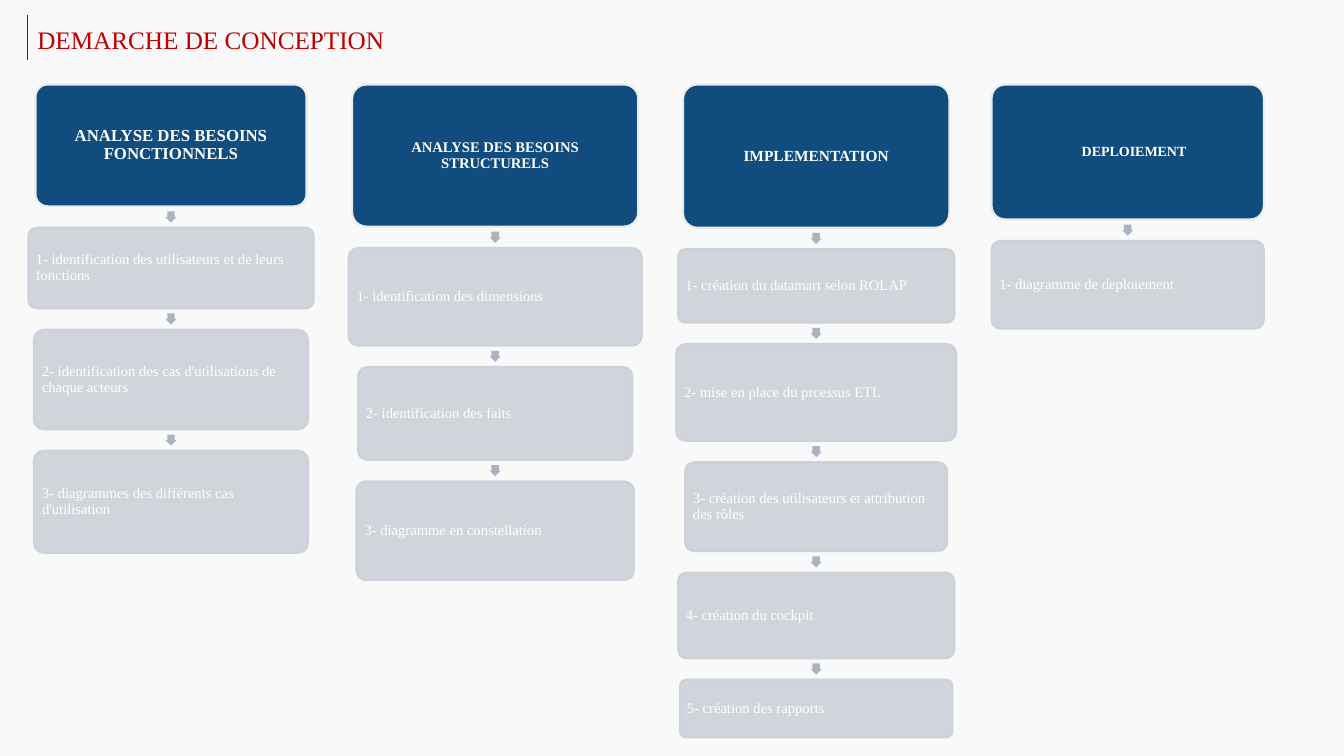
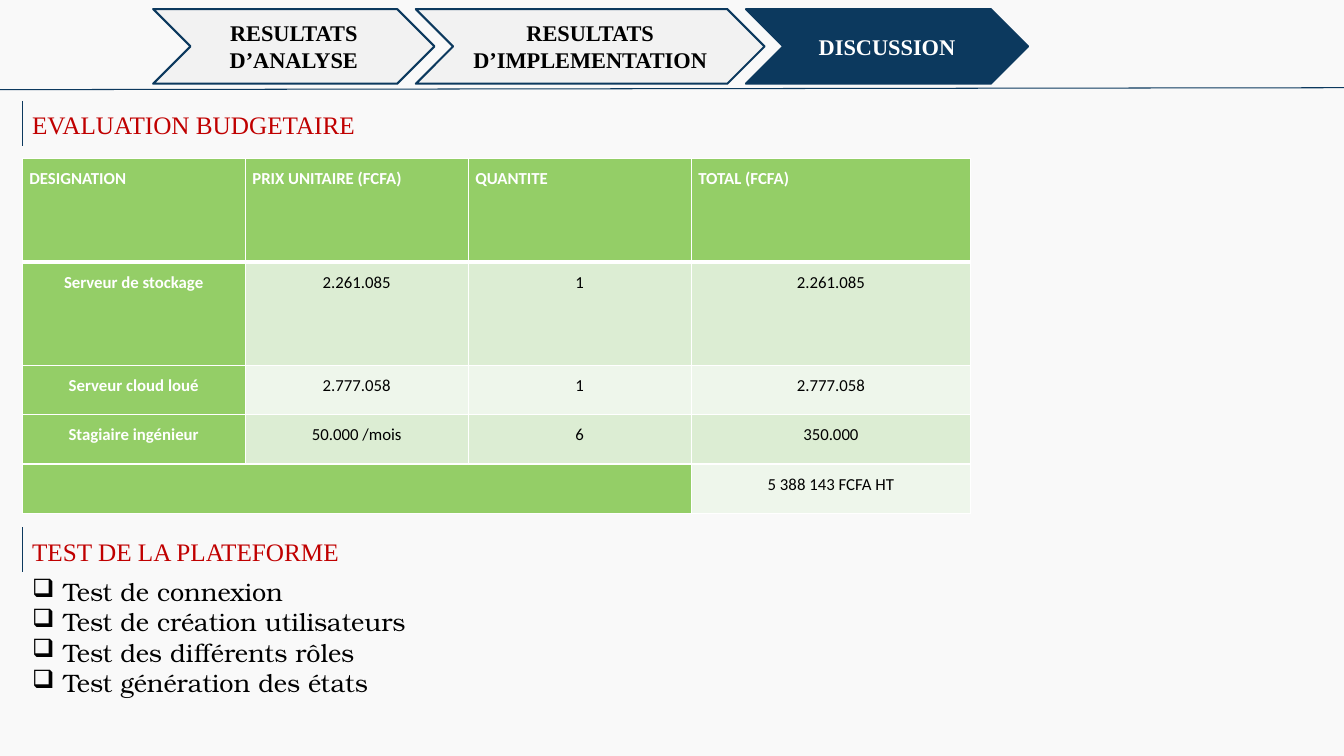
from lxml.etree import SubElement
from pptx import Presentation
from pptx.dml.color import RGBColor
from pptx.enum.shapes import MSO_CONNECTOR as Link, MSO_SHAPE as Kind
from pptx.enum.text import MSO_ANCHOR as Anchor, PP_ALIGN as Align
from pptx.oxml.ns import qn
from pptx.util import Cm, Pt

# Shared look
SERIF, SANS, BOOK = "Times New Roman", "Calibri", "TeX Gyre Bonum"
PAPER, WHITE, BLACK = "F9F9F9", "FFFFFF", "000000"
NAVY, BLUE, RED, PALE = "0C395E", "104C7E", "C00000", "F2F2F2"
STEP, EDGE, ARROW, RIM = "D0D4DB", "CDD1D9", "ABB2C0", "EBEBEB"
GREEN, BANDS = "94CE67", ("DCEDD3", "EEF6EB")
WIDE, HIGH = 33.87, 19.05

# Flow columns: centre, heading (text, size, width, height), steps
TOP, GAP, TIP = 2.13, 0.54, 0.28
FLOWS = [
    (4.31, ("ANALYSE DES BESOINS FONCTIONNELS", 12, 6.83, 3.07), [
        ("1- identification des utilisateurs et de leurs fonctions", 7.19, 2.03),
        ("2- identification des cas d'utilisations de chaque acteurs", 6.91, 2.51),
        ("3- diagrammes des différents cas d'utilisation", 6.91, 2.57)]),
    (12.48, ("ANALYSE DES BESOINS STRUCTURELS", 10.5, 7.21, 3.58), [
        ("1- identification des dimensions", 7.39, 2.46),
        ("2- identification des faits", 6.91, 2.34),
        ("3- diagramme en constellation", 6.99, 2.49)]),
    (20.57, ("IMPLEMENTATION", 11, 6.71, 3.61), [
        ("1- création du datamart selon ROLAP", 6.96, 1.85),
        ("2- mise en place du prcessus ETL", 7.06, 2.44),
        ("3- création des utilisateurs et attribution des rôles", 6.6, 2.24),
        ("4- création du cockpit", 6.96, 2.16),
        ("5- création des rapports", 6.86, 1.45)]),
    (28.42, ("DEPLOIEMENT", 10, 6.86, 3.4), [
        ("1- diagramme de deploiement", 6.86, 2.21)]),
]

# Section tabs: text, width, fill, text colour
TABS = [
    ("RESULTATS D’ANALYSE", 7.09, PALE, BLACK),
    ("RESULTATS D’IMPLEMENTATION", 8.79, PALE, BLACK),
    ("DISCUSSION", 7.11, NAVY, WHITE),
]

COSTS = [
    ("DESIGNATION", "PRIX UNITAIRE (FCFA)", "QUANTITE", "TOTAL (FCFA)"),
    ("Serveur de stockage", "2.261.085", "1", "2.261.085"),
    ("Serveur cloud loué", "2.777.058", "1", "2.777.058"),
    ("Stagiaire ingénieur", "50.000 /mois", "6", "350.000"),
    ("", "", "", "5 388 143 FCFA HT"),
]
COLS = (5.62, 5.62, 5.62, 7.04)
ROWS = (2.61, 2.61, 1.24, 1.24, 1.24)

TESTS = ["Test de connexion", "Test de création utilisateurs",
         "Test des différents rôles", "Test génération des états"]


def rgb(code):
    return RGBColor.from_string(code)


def write(frame, text, font, size, color, bold=False, align=Align.LEFT):
    """Fill a text frame and give all its runs one look."""
    frame.text = text
    for para in frame.paragraphs:
        para.alignment = align
        for run in para.runs:
            run.font.name, run.font.size = font, Pt(size)
            run.font.bold = bold
            run.font.color.rgb = rgb(color)


def inset(obj, side, end):
    obj.margin_left = obj.margin_right = Cm(side)
    obj.margin_top = obj.margin_bottom = Cm(end)


def shape(slide, kind, x, y, w, h, fill, edge=None):
    item = slide.shapes.add_shape(kind, Cm(x), Cm(y), Cm(w), Cm(h))
    item.shadow.inherit = False
    item.fill.solid()
    item.fill.fore_color.rgb = rgb(fill)
    if edge:
        item.line.color.rgb = rgb(edge)
        item.line.width = Pt(1.5)
    else:
        item.line.fill.background()
    item.text_frame.word_wrap = True
    item.text_frame.vertical_anchor = Anchor.MIDDLE
    return item


def rule(slide, x1, y1, x2, y2):
    line = slide.shapes.add_connector(Link.STRAIGHT, Cm(x1), Cm(y1), Cm(x2), Cm(y2))
    line.line.color.rgb = rgb(NAVY)
    line.line.width = Pt(0.75)
    SubElement(line._element.spPr, qn("a:effectLst"))


def textbox(slide, x, y, w, h):
    frame = slide.shapes.add_textbox(Cm(x), Cm(y), Cm(w), Cm(h)).text_frame
    frame.word_wrap = True
    return frame


def title(slide, x, y, text):
    rule(slide, x, y, x, y + 1.13)
    write(textbox(slide, x, y + 0.1, 19.43, 1.02), text, SERIF, 18, RED)


def card(slide, mid, y, w, h, text, size, head=False):
    fill, edge = (BLUE, RIM) if head else (STEP, EDGE)
    box = shape(slide, Kind.ROUNDED_RECTANGLE, mid - w / 2, y, w, h, fill, edge)
    box.adjustments[0] = 0.1
    frame = box.text_frame
    inset(frame, 0.13, 0.13)
    write(frame, text, SERIF, size, WHITE, head, Align.CENTER if head else Align.LEFT)
    frame.paragraphs[0].line_spacing = 0.9
    return frame


def flow(slide, mid, head, steps):
    """Stack a heading and its steps, with an arrow in each gap."""
    text, size, w, h = head
    frame = card(slide, mid, TOP, w, h, text, size, True)
    y = TOP + h
    for text, w, h in steps:
        tip = shape(slide, Kind.DOWN_ARROW, mid - TIP / 2, y + (GAP - TIP) / 2,
                    TIP, TIP, ARROW)
        tip.adjustments[0] = 0.67
        y += GAP
        card(slide, mid, y, w, h, text, 10.5)
        y += h
    return frame


def tabs(slide):
    x = 3.86
    for text, w, fill, color in TABS:
        tab = shape(slide, Kind.CHEVRON, x, 0.23, w, 1.88, fill, NAVY)
        write(tab.text_frame, text, SERIF, 16, color, True, Align.CENTER)
        x += w - 0.47


def border(cell, widths):
    props = cell._tc.get_or_add_tcPr()
    for side, width in zip("LRTB", widths):
        line = SubElement(props, qn("a:ln" + side), w=str(Pt(width)))
        fill = SubElement(line, qn("a:solidFill"))
        SubElement(fill, qn("a:srgbClr"), val=WHITE)


def costs(slide, x, y):
    table = slide.shapes.add_table(len(ROWS), len(COLS), Cm(x), Cm(y),
                                   Cm(sum(COLS)), Cm(sum(ROWS))).table
    for col, w in zip(table.columns, COLS):
        col.width = Cm(w)
    for row, h in zip(table.rows, ROWS):
        row.height = Cm(h)
    for r, texts in enumerate(COSTS):
        for c, text in enumerate(texts):
            cell = table.cell(r, c)
            head = r == 0 or c == 0
            border(cell, (1, 1, 3 if r == 1 else 1, 3 if r == 0 else 1))
            cell.fill.solid()
            cell.fill.fore_color.rgb = rgb(GREEN if head else BANDS[(r - 1) % 2])
            inset(cell, 0.18, 0)
            if text:
                write(cell.text_frame, text, SANS, 12, WHITE if head else BLACK,
                      head, Align.CENTER if r else Align.JUSTIFY)
                para = cell.text_frame.paragraphs[0]
                para.line_spacing = 1.5
                para.space_before = para.space_after = Pt(6)
    last = len(ROWS) - 1
    table.cell(last, 0).merge(table.cell(last, 2))


def checks(slide, x, y):
    frame = textbox(slide, x, y, 32.97, 3.33)
    write(frame, "\n".join(TESTS), BOOK, 18, BLACK)
    for para in frame.paragraphs:
        props = para._p.get_or_add_pPr()
        props.set("marL", str(Cm(0.79)))
        props.set("indent", str(-Cm(0.79)))
        SubElement(props, qn("a:buChar"), char="❑")


def main():
    deck = Presentation()
    deck.slide_width, deck.slide_height = Cm(WIDE), Cm(HIGH)
    back = deck.slide_master.background.fill
    back.solid()
    back.fore_color.rgb = rgb(PAPER)
    blank = deck.slide_layouts[6]

    # Design steps
    slide = deck.slides.add_slide(blank)
    for mid, head, steps in FLOWS:
        frame = flow(slide, mid, head, steps)
    frame.margin_left = Cm(0.45)  # last heading sits right of centre
    title(slide, 0.69, 0.38, "DEMARCHE DE CONCEPTION")

    # Budget and tests
    slide = deck.slides.add_slide(blank)
    rule(slide, 0, 2.26, WIDE, 2.21)
    tabs(slide)
    left = 0.56
    title(slide, left, 2.54, "EVALUATION BUDGETAIRE")
    costs(slide, left, 3.99)
    title(slide, left, 13.28, "TEST DE LA PLATEFORME")
    checks(slide, left, 14.4)

    deck.save("out.pptx")


if __name__ == "__main__":
    main()
